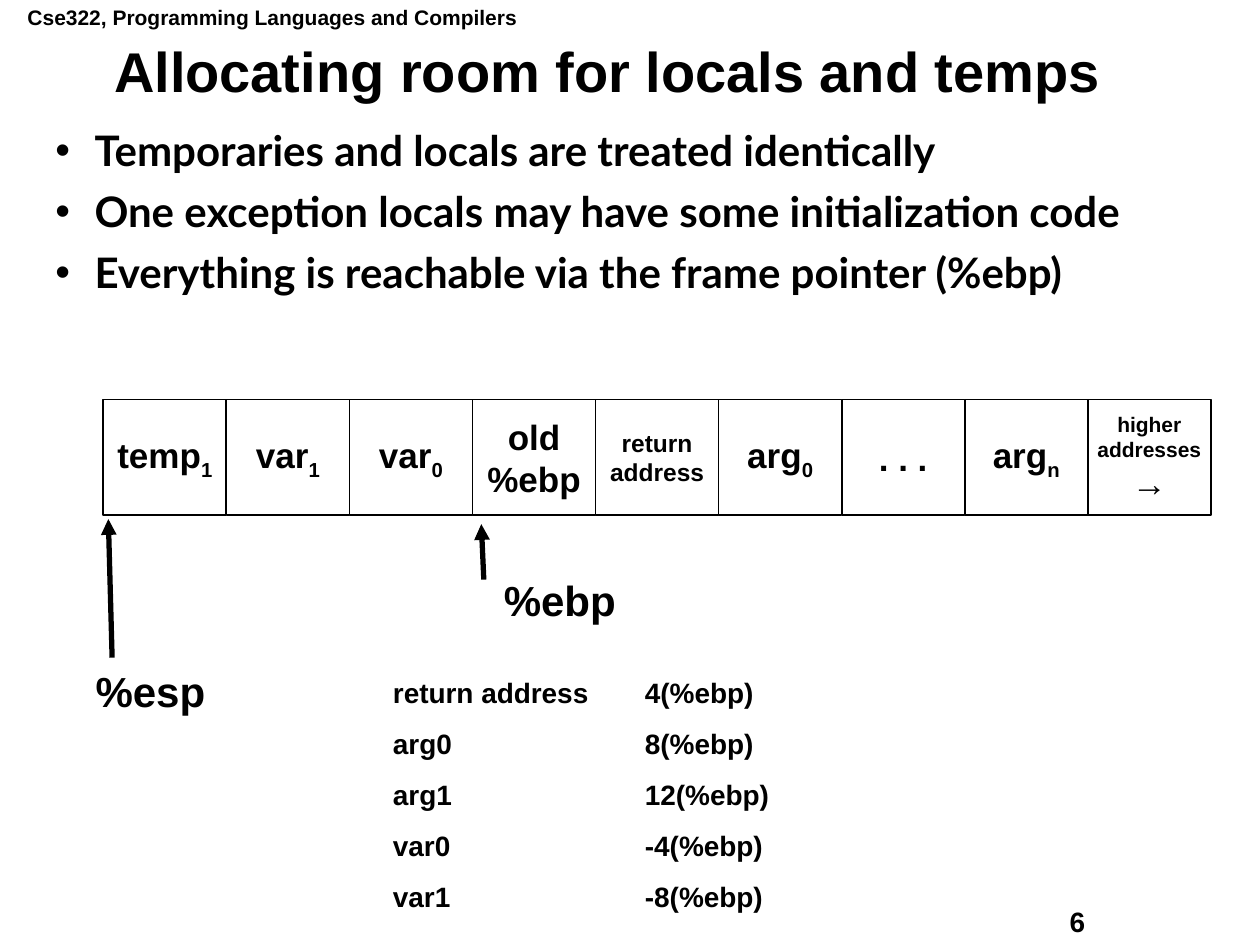
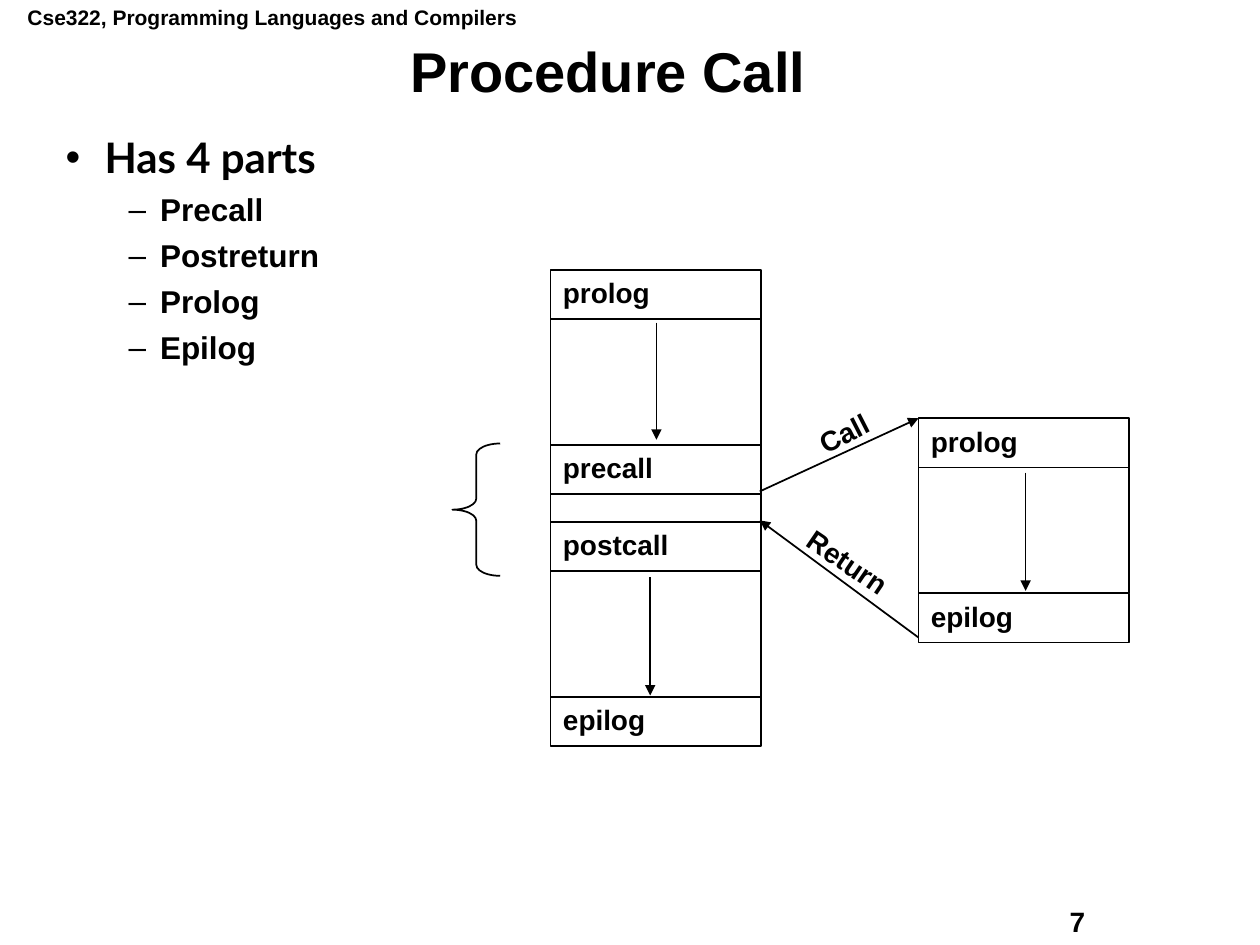
"""Build two slides on stack frame layout and the parts of a procedure call."""
from itertools import accumulate
from typing import NamedTuple

from lxml.etree import SubElement
from pptx import Presentation
from pptx.dml.color import RGBColor
from pptx.enum.shapes import MSO_CONNECTOR, MSO_SHAPE
from pptx.enum.text import MSO_ANCHOR as Anchor, MSO_AUTO_SIZE as AutoSize, PP_ALIGN as Align
from pptx.oxml.ns import qn
from pptx.util import Inches, Pt

BLACK = RGBColor(0x00, 0x00, 0x00)
WHITE = RGBColor(0xFF, 0xFF, 0xFF)
SANS = "Arial"
BODY = "Lato"
COURSE = "Cse322, Programming Languages and Compilers"


class Area(NamedTuple):
    left: float
    top: float
    width: float
    height: float


class Line(NamedTuple):
    text: str
    size: float = 20
    subscript: str = ""


class Bullet(NamedTuple):
    text: str
    level: int = 0


class BulletStyle(NamedTuple):
    mark: str
    margin: float
    indent: float
    size: float
    font: str
    space: float


class Arrow(NamedTuple):
    start: tuple[float, float]
    end: tuple[float, float]
    width: float = 1


class Label(NamedTuple):
    text: str
    area: Area
    size: float = 16
    rotation: float = 0


class Segment(NamedTuple):
    height: float
    text: str = ""


class CodeBlock(NamedTuple):
    left: float
    top: float
    segments: list[Segment]


BULLET_STYLES = [
    BulletStyle("•", 0.31, -0.31, 24, BODY, 9),
    BulletStyle("–", 0.75, -0.25, 18, SANS, 6.8),
]

FRAME = Area(0.82, 3.17, 8.79, 0.92)
FRAME_CELLS = [
    [Line("temp", subscript="1")],
    [Line("var", subscript="1")],
    [Line("var", subscript="0")],
    [Line("old"), Line("%ebp")],
    [Line("return", 14), Line("address", 14)],
    [Line("arg", subscript="0")],
    [Line(". . .")],
    [Line("arg", subscript="n")],
    [Line("higher", 12), Line("addresses", 12), Line("→")],
]
POINTER_LABELS = [
    Label("%esp", Area(0.66, 5.23, 1.62, 0.5), 24),
    Label("%ebp", Area(3.9, 4.51, 1.62, 0.5), 24),
]
POINTER_ARROWS = [
    Arrow((0.89, 5.22), (0.86, 4.12), 3),
    Arrow((3.84, 4.6), (3.82, 4.16), 3),
]
OFFSETS = {
    "return address": "4(%ebp)",
    "arg0": "8(%ebp)",
    "arg1": "12(%ebp)",
    "var0": "-4(%ebp)",
    "var1": "-8(%ebp)",
}

BLOCK_WIDTH = 1.67
NAMED = 0.39
CALLER = CodeBlock(4.37, 2.14, [
    Segment(NAMED, "prolog"), Segment(1), Segment(NAMED, "precall"), Segment(0.22),
    Segment(NAMED, "postcall"), Segment(1), Segment(NAMED, "epilog"),
])
CALLEE = CodeBlock(7.29, 3.32, [Segment(NAMED, "prolog"), Segment(1), Segment(NAMED, "epilog")])
CALL_ARROWS = [
    Arrow((5.21, 2.56), (5.21, 3.49)),
    Arrow((5.16, 4.58), (5.16, 5.52)),
    Arrow((8.14, 3.75), (8.14, 4.69)),
    Arrow((6.03, 3.9), (7.29, 3.32)),
    Arrow((7.29, 5.06), (6.03, 4.13)),
]
CALL_LABELS = [
    Label("Call", Area(6.38, 3.19, 0.89, 0.37), rotation=332.9),
    Label("Return", Area(6.26, 4.32, 1.06, 0.37), rotation=34.4),
]
BRACE = Area(3.59, 3.52, 0.38, 1.05)


def inches(area: Area) -> list:
    return [Inches(value) for value in area]


def style_font(para, size: float, name: str = SANS) -> None:
    font = para.font
    font.name, font.size, font.bold = name, Pt(size), True
    font.color.rgb = BLACK


def prepare_frame(shape, anchor=Anchor.TOP, wrap: bool = True):
    frame = shape.text_frame
    frame.auto_size = AutoSize.NONE
    frame.word_wrap = wrap
    frame.vertical_anchor = anchor
    return frame


def add_paragraph(frame, index: int):
    return frame.add_paragraph() if index else frame.paragraphs[0]


def place(shape, area: Area) -> None:
    shape.left, shape.top, shape.width, shape.height = inches(area)


def add_label(page, label: Label) -> None:
    box = page.shapes.add_textbox(*inches(label.area))
    box.rotation = label.rotation
    para = prepare_frame(box).paragraphs[0]
    para.text = label.text
    style_font(para, label.size)


def add_outline(page, kind, area: Area, fill: RGBColor | None = None):
    shape = page.shapes.add_shape(kind, *inches(area))
    shape.shadow.inherit = False
    if fill is None:
        shape.fill.background()
    else:
        shape.fill.solid()
        shape.fill.fore_color.rgb = fill
    shape.line.color.rgb = BLACK
    shape.line.width = Pt(1)
    return shape


def add_arrow(page, arrow: Arrow) -> None:
    points = [Inches(value) for value in arrow.start + arrow.end]
    connector = page.shapes.add_connector(MSO_CONNECTOR.STRAIGHT, *points)
    connector.line.color.rgb = BLACK
    connector.line.width = Pt(arrow.width)
    SubElement(connector.line._get_or_add_ln(), qn("a:tailEnd"), type="triangle")
    SubElement(connector._element.spPr, qn("a:effectLst"))


def add_bullets(body, bullets: list[Bullet]) -> None:
    frame = prepare_frame(body)
    for index, bullet in enumerate(bullets):
        style = BULLET_STYLES[bullet.level]
        para = add_paragraph(frame, index)
        para.text = bullet.text
        para.level = bullet.level
        para.line_spacing = 0.9
        para.space_before = Pt(style.space if index else 0)
        props = para._p.get_or_add_pPr()
        props.set("marL", str(Inches(style.margin)))
        props.set("indent", str(Inches(style.indent)))
        SubElement(props, qn("a:buFont"), typeface=SANS)
        SubElement(props, qn("a:buChar"), char=style.mark)
        style_font(para, style.size, style.font)


def add_page(deck, number: int, title: str, bullets: list[Bullet], body_area: Area):
    page = deck.slides.add_slide(deck.slide_layouts[1])
    heading, body = page.placeholders
    place(heading, Area(0.31, 0.31, 9.03, 0.56))
    para = prepare_frame(heading, Anchor.MIDDLE).paragraphs[0]
    para.text = title
    para.alignment = Align.CENTER
    para.line_spacing = 0.9
    style_font(para, 32)
    place(body, body_area)
    add_bullets(body, bullets)
    add_label(page, Label(COURSE, Area(0.12, -0.01, 4.3, 0.3), 12))
    add_label(page, Label(str(number), Area(8.39, 7.13, 1.27, 0.36)))
    return page


def add_frame_cells(page) -> None:
    width = FRAME.width / len(FRAME_CELLS)
    for column, lines in enumerate(FRAME_CELLS):
        area = Area(FRAME.left + column * width, FRAME.top, width, FRAME.height)
        cell = add_outline(page, MSO_SHAPE.RECTANGLE, area, WHITE)
        frame = prepare_frame(cell, Anchor.MIDDLE, wrap=False)
        for index, line in enumerate(lines):
            para = add_paragraph(frame, index)
            para.text = line.text
            para.alignment = Align.CENTER
            if line.subscript:
                span = para.add_run()
                span.text = line.subscript
                span._r.get_or_add_rPr().set("baseline", "-25000")
            style_font(para, line.size)


def add_offsets(page) -> None:
    box = page.shapes.add_textbox(*inches(Area(3.02, 5.31, 3.95, 1.99)))
    frame = prepare_frame(box)
    for index, (name, address) in enumerate(OFFSETS.items()):
        para = add_paragraph(frame, index)
        para.text = f"{name}\t{address}"
        para.space_before = Pt(10 if index else 0)
        tabs = SubElement(para._p.get_or_add_pPr(), qn("a:tabLst"))
        SubElement(tabs, qn("a:tab"), pos=str(Inches(2)), algn="l")
        style_font(para, 16)


def add_code_block(page, block: CodeBlock) -> None:
    tops = accumulate((segment.height for segment in block.segments), initial=block.top)
    for segment, top in zip(block.segments, tops):
        area = Area(block.left, top, BLOCK_WIDTH, segment.height)
        box = add_outline(page, MSO_SHAPE.RECTANGLE, area)
        if segment.text:
            para = prepare_frame(box).paragraphs[0]
            para.text = segment.text
            para.alignment = Align.LEFT
            style_font(para, 16)


def build_frame_page(deck) -> None:
    bullets = [
        Bullet("Temporaries and locals are treated identically"),
        Bullet("One exception locals may have some initialization code"),
        Bullet("Everything is reachable via the frame pointer (%ebp)"),
    ]
    page = add_page(deck, 6, "Allocating room for locals and temps", bullets,
                    Area(0.34, 0.98, 8.92, 5.96))
    add_frame_cells(page)
    add_offsets(page)
    for arrow, label in zip(POINTER_ARROWS, POINTER_LABELS):
        add_arrow(page, arrow)
        add_label(page, label)


def build_call_page(deck) -> None:
    parts = [Bullet(part, 1) for part in ("Precall", "Postreturn", "Prolog", "Epilog")]
    page = add_page(deck, 7, "Procedure Call", [Bullet("Has 4 parts"), *parts],
                    Area(0.42, 1.04, 3.62, 5.83))
    for block in (CALLER, CALLEE):
        add_code_block(page, block)
    for arrow in CALL_ARROWS:
        add_arrow(page, arrow)
    for label in CALL_LABELS:
        add_label(page, label)
    brace = add_outline(page, MSO_SHAPE.LEFT_BRACE, BRACE)
    brace.adjustments[0] = 0.23


def main() -> None:
    deck = Presentation()
    deck.slide_width, deck.slide_height = Inches(10), Inches(7.5)
    build_frame_page(deck)
    build_call_page(deck)
    deck.save("out.pptx")


if __name__ == "__main__":
    main()
